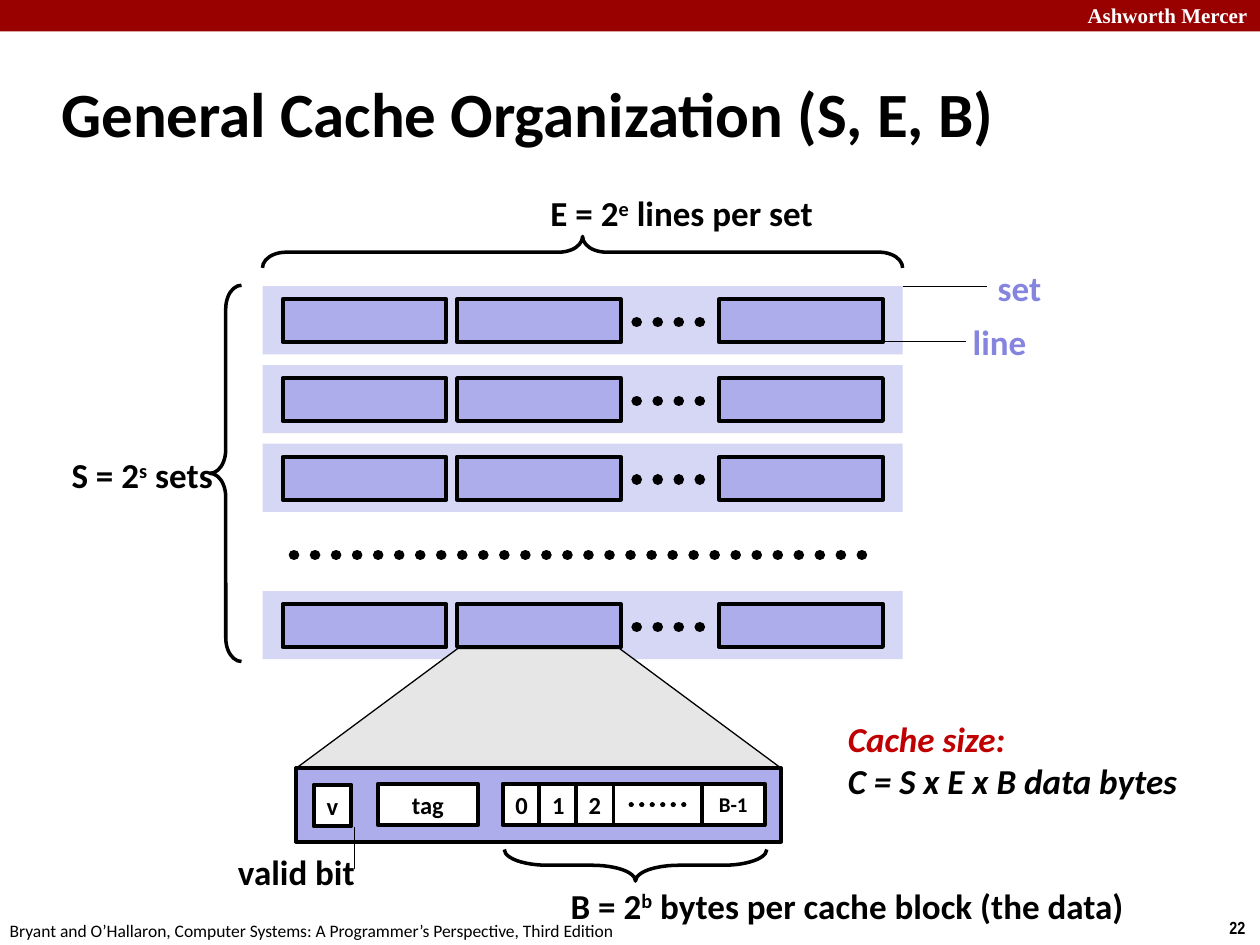
from lxml import etree
from pptx import Presentation
from pptx.dml.color import RGBColor
from pptx.enum.dml import MSO_LINE
from pptx.enum.shapes import MSO_CONNECTOR, MSO_SHAPE
from pptx.enum.text import MSO_ANCHOR, PP_ALIGN
from pptx.oxml.ns import qn
from pptx.util import Pt

RECT = MSO_SHAPE.RECTANGLE
TRAP = MSO_SHAPE.TRAPEZOID
BRACE = MSO_SHAPE.LEFT_BRACE
STRAIGHT = MSO_CONNECTOR.STRAIGHT
DOTS = MSO_LINE.ROUND_DOT
MIDDLE = MSO_ANCHOR.MIDDLE
TOP = MSO_ANCHOR.TOP
LEFT = PP_ALIGN.LEFT
CENTER = PP_ALIGN.CENTER
RIGHT = PP_ALIGN.RIGHT

HEX = {
    "bar": "990000", "black": "000000", "white": "FFFFFF", "set": "D6D6F5",
    "line": "ADADEB", "label": "8585E0", "zoom": "E6E6E6", "note": "C00000",
}


def color(name):
    return RGBColor.from_string(HEX[name])


def write(frame, paras, size=20, font="Calibri", fill="black", bold=True,
          italic=False, align=LEFT, anchor=TOP):
    """Fill a frame with (text, colour) or plain paragraphs; ^x^ is raised."""
    frame.word_wrap = False
    frame.vertical_anchor = anchor
    for i, item in enumerate(paras):
        text, tint = item if isinstance(item, tuple) else (item, fill)
        para = frame.paragraphs[0] if i == 0 else frame.add_paragraph()
        para.alignment = align
        for j, part in enumerate(text.split("^")):
            run = para.add_run()
            run.text = part
            run.font.size = Pt(size)
            run.font.name = font
            run.font.bold = bold
            run.font.italic = italic
            run.font.color.rgb = color(tint)
            if j % 2:
                run._r.get_or_add_rPr().set("baseline", "30000")


def label(shapes, x, y, w, h, *paras, **style):
    box = shapes.add_textbox(Pt(x), Pt(y), Pt(w), Pt(h))
    write(box.text_frame, paras, **style)


def block(shapes, x, y, w, h, fill, line=0, kind=RECT, text=None, size=14):
    shape = shapes.add_shape(kind, Pt(x), Pt(y), Pt(w), Pt(h))
    shape.shadow.inherit = False
    if fill:
        shape.fill.solid()
        shape.fill.fore_color.rgb = color(fill)
    else:
        shape.fill.background()
    if line:
        shape.line.width = Pt(line)
        shape.line.color.rgb = color("black")
    else:
        shape.line.fill.background()
    if text:
        write(shape.text_frame, [text], size=size, align=CENTER, anchor=MIDDLE)
    return shape


def rule(shapes, x1, y1, x2, y2, width=0.75, dots=False):
    line = shapes.add_connector(STRAIGHT, Pt(x1), Pt(y1), Pt(x2), Pt(y2))
    line.line.width = Pt(width)
    line.line.color.rgb = color("black")
    if dots:
        line.line.dash_style = DOTS
        line.line._ln.set("cap", "rnd")
    etree.SubElement(line._element.spPr, qn("a:effectLst"))


def brace(shapes, x, y, size, turn=0, bend=0.75):
    """Draw a brace of the given length, centred on x, y."""
    shape = block(shapes, x - 9, y - size / 2, 18, size, None, 2, BRACE)
    shape.adjustments[0] = bend
    shape.rotation = turn


def frame(shapes, w, h):
    """Draw the bar, the footer and the title."""
    block(shapes, 0, 0, w, 18, "bar")
    label(shapes, w - 150, -2, 150, 22, "Ashworth Mercer", size=12,
          font="Times New Roman", fill="white", align=RIGHT)
    label(shapes, w - 24.5, h - 19.4, 24.5, 19.4, "22", size=10,
          font="Arial Narrow")
    label(shapes, -1.5, h - 18, 366, 19.4,
          "Bryant and O’Hallaron, Computer Systems: "
          "A Programmer’s Perspective, Third Edition", size=10, bold=False)
    label(shapes, 28, 34.2, 598, 60, "General Cache Organization (S, E, B)",
          size=36, anchor=MIDDLE)


def row(shapes, x, y, w, h):
    """Draw one set with its lines."""
    group = shapes.add_group_shape().shapes
    block(group, x, y, w, h, "set")
    rule(group, x + 213.8, y + 20.5, x + 256, y + 20.5, 6, True)
    for dx in (11.5, 111.2, 261):
        block(group, x + dx, y + 7.5, 93.6, 24.5, "line", 2.25)


def cache(shapes, x, y, w, h):
    """Draw all sets with their braces and labels."""
    for n in (0, 1, 2, 3.87):
        row(shapes, x, y + 45 * n, w, 39)
    rule(shapes, x + 18, y + 153.5, x + w - 11.5, y + 153.5, 6, True)

    brace(shapes, x + w / 2, y - 19.5, w, 90)
    label(shapes, x + 157.5, y - 57.6, 166, 32, "E = 2^e^ lines per set")
    brace(shapes, x - 21, y + h / 2 - 0.6, h)
    label(shapes, x - 116.2, y + 92, 96, 32, "S = 2^s^ sets")

    rule(shapes, x + w, y, x + w + 48, y)
    label(shapes, x + w + 47.2, y - 15, 40, 32, "set", fill="label")
    rule(shapes, x + w - 11.5, y + 31.5, x + w + 36.5, y + 31.5)
    label(shapes, x + w + 33, y + 16, 45, 32, "line", fill="label")


def detail(shapes, x, y, w, h):
    """Draw one line magnified, with its fields."""
    zoom = block(shapes, x, y - 68.4, w, 68.4, "zoom", 0.75, TRAP)
    zoom.adjustments[0] = 1.35
    block(shapes, x, y, w, h, "line", 2.25)

    fields = [(118 + 21 * n, 21.6, str(n), 14) for n in range(3)]
    fields += [(231.8, 36, "B-1", 12), (181.4, 50.4, None, 14),
               (46.8, 57, "tag", 14), (10, 21.6, "v", 14)]
    for dx, wide, text, size in fields:
        dy = 9.4 if text == "v" else 8.8
        block(shapes, x + dx, y + dy, wide, 23.8, "white", 2.25,
              text=text, size=size)
    rule(shapes, x + 191.5, y + 20.9, x + 227.5, y + 20.9, 3, True)

    brace(shapes, x + 194, y + 55.4, 150, 270, 1.37)
    label(shapes, x + 149.8, y + 62.6, 334, 32,
          "B = 2^b^ bytes per cache block (the data)")
    label(shapes, x - 40.3, y + 43.2, 82, 32, "valid bit")
    rule(shapes, x + 33.2, y + 57.6, x + 33.2, y + 33.8)


def main():
    deck = Presentation()
    deck.slide_width, deck.slide_height = Pt(720), Pt(540)
    shapes = deck.slides.add_slide(deck.slide_layouts[6]).shapes
    frame(shapes, 720, 540)
    cache(shapes, 150, 163.6, 365.8, 215)
    detail(shapes, 169.2, 439, 277.2, 42)
    label(shapes, 477.4, 406.4, 204, 55.5, ("Cache size:", "note"),
          "C = S x E x B data bytes", italic=True)
    deck.save("out.pptx")


if __name__ == "__main__":
    main()
